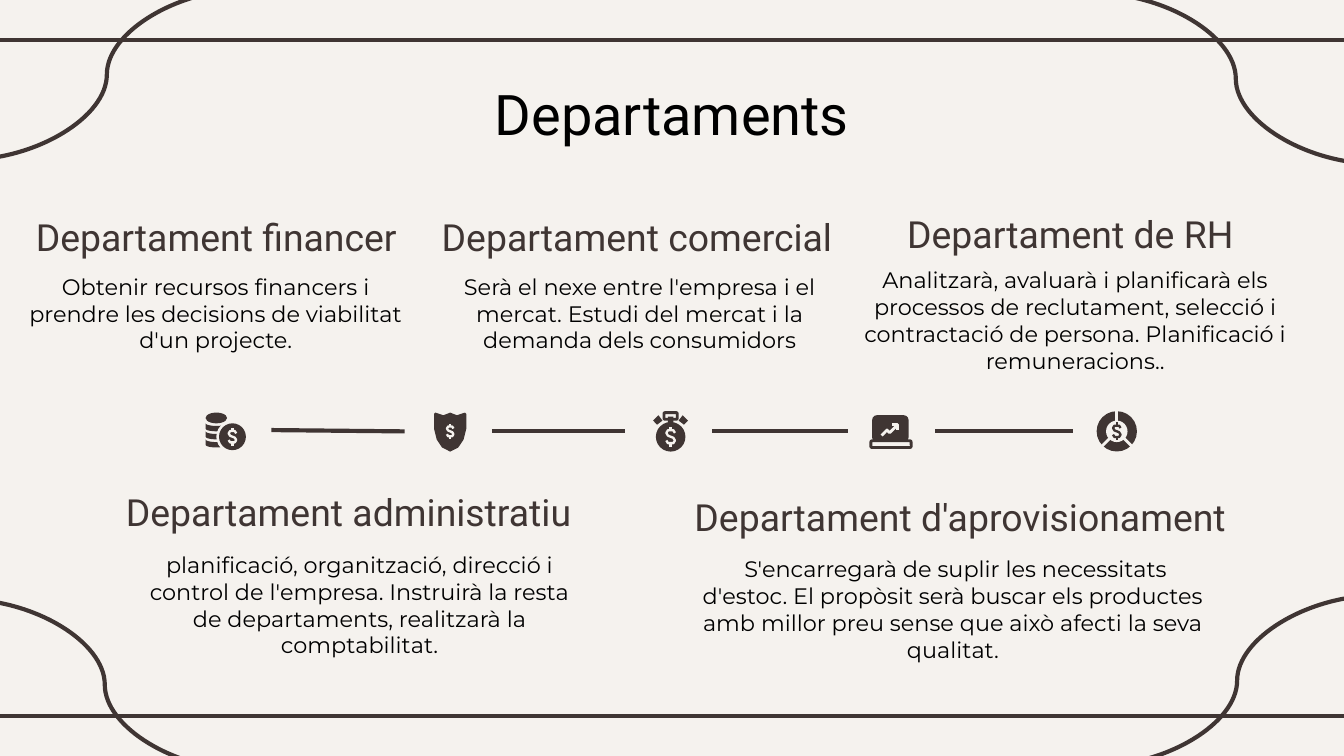
"""Build the Departaments slide: five departments around a row of linked icons."""
import dataclasses
import math
from typing import List, Sequence, Tuple

import pptx
import pptx.dml.color
import pptx.enum.shapes
import pptx.enum.text
import pptx.oxml
import pptx.util

Inches = pptx.util.Inches
Point = Tuple[float, float]
Box = Tuple[float, float, float, float]
Preset = pptx.enum.shapes.MSO_SHAPE
Connector = pptx.enum.shapes.MSO_CONNECTOR

DARK, LIGHT, BLACK = "3F3533", "F5F2EE", "000000"
EFFECTS = '<a:effectLst xmlns:a="http://schemas.openxmlformats.org/drawingml/2006/main"/>'


@dataclasses.dataclass
class Department:
    name: str
    name_box: Box
    duty: str
    duty_box: Box


@dataclasses.dataclass
class Link:
    start: Point
    end: Point
    kind: int = Connector.STRAIGHT


DEPARTMENTS = [
    Department("Departament financer", (-0.35, 1.59, 3.92, 0.35),
               "Obtenir recursos financers i prendre les decisions de viabilitat d'un projecte.",
               (0.19, 2.03, 2.93, 0.6)),
    Department("Departament comercial", (2.78, 1.59, 3.92, 0.35),
               "Serà el nexe entre l'empresa i el mercat. Estudi del mercat i la demanda "
               "dels consumidors", (3.16, 2.03, 3.3, 0.6)),
    Department("Departament administratiu", (0.48, 3.64, 4.23, 0.35),
               "planificació, organització, direcció i control de l'empresa. Instruirà la resta "
               "de departaments, realitzarà la comptabilitat.", (0.99, 4.1, 3.47, 0.6)),
    Department("Departament d'aprovisionament", (4.7, 3.68, 4.89, 0.35),
               " S'encarregarà de suplir les necessitats d'estoc. El propòsit serà buscar els "
               "productes amb millor preu sense que això afecti la seva qualitat.",
               (5.21, 4.13, 3.86, 0.6)),
    Department("Departament de RH", (5.85, 1.57, 4.23, 0.35),
               "Analitzarà, avaluarà i planificarà els processos de reclutament, selecció i "
               "contractació de persona. Planificació i remuneracions..",
               (6.31, 1.98, 3.48, 0.6)),
]

LINKS = [
    Link((-0.08, 0.3), (10.08, 0.3)),
    Link((-0.08, 5.33), (10.08, 5.33)),
    Link((-0.27, 4.46), (1.83, 5.73), Connector.CURVE),
    Link((8.14, -0.05), (10.25, 1.22), Connector.CURVE),
    Link((10.26, 4.43), (8.15, 5.7), Connector.CURVE),
    Link((1.85, -0.08), (-0.26, 1.19), Connector.CURVE),
    Link((2.02, 3.2), (3.01, 3.21)),
    Link((3.66, 3.21), (4.65, 3.21)),
    Link((5.3, 3.21), (6.31, 3.21)),
    Link((6.96, 3.21), (7.98, 3.21)),
]

DOLLAR = [
    [(0.4, -0.35), (0.25, -0.6), (-0.25, -0.6), (-0.4, -0.35), (-0.25, -0.1),
     (0.25, 0.1), (0.4, 0.35), (0.25, 0.6), (-0.25, 0.6), (-0.4, 0.35)],
    [(0, -0.6), (0, -0.95)],
    [(0, 0.6), (0, 0.95)],
]


def colour(value: str) -> pptx.dml.color.RGBColor:
    return pptx.dml.color.RGBColor.from_string(value)


def paint(shape, fill: str = "", line: str = "", width: float = 1) -> None:
    shape.shadow.inherit = False
    if fill:
        shape.fill.solid()
        shape.fill.fore_color.rgb = colour(fill)
    else:
        shape.fill.background()
    if line:
        shape.line.color.rgb = colour(line)
        shape.line.width = pptx.util.Pt(width)
    else:
        shape.line.fill.background()


def add_link(slide, link: Link) -> None:
    ends = [Inches(value) for value in link.start + link.end]
    connector = slide.shapes.add_connector(link.kind, *ends)
    connector.line.color.rgb = colour(DARK)
    connector.line.width = pptx.util.Pt(2.25)
    connector._element.spPr.append(pptx.oxml.parse_xml(EFFECTS))


def add_text(slide, box: Box, text: str, font: str, size: float, ink: str,
             insets: Box = (0, 0, 0, 0)) -> None:
    frame = slide.shapes.add_textbox(*map(Inches, box)).text_frame
    frame.word_wrap = True
    frame.vertical_anchor = pptx.enum.text.MSO_ANCHOR.TOP
    (frame.margin_left, frame.margin_top,
     frame.margin_right, frame.margin_bottom) = map(Inches, insets)
    paragraph = frame.paragraphs[0]
    paragraph.alignment = pptx.enum.text.PP_ALIGN.CENTER
    run = paragraph.add_run()
    run.text = text
    run.font.name = font
    run.font.size = pptx.util.Pt(size)
    run.font.color.rgb = colour(ink)


def add_preset(slide, kind, box: Box, fill: str = "", line: str = "", width: float = 1) -> None:
    paint(slide.shapes.add_shape(kind, *map(Inches, box)), fill, line, width)


def add_disc(slide, centre: Point, radius: float, fill: str) -> None:
    box = (centre[0] - radius, centre[1] - radius, 2 * radius, 2 * radius)
    add_preset(slide, Preset.OVAL, box, fill)


def add_outline(slide, contours: Sequence[Sequence[Point]], fill: str = "",
                line: str = "", width: float = 1) -> None:
    builder = None
    for contour in contours:
        points = [(Inches(x), Inches(y)) for x, y in contour]
        if builder is None:
            builder = slide.shapes.build_freeform(*points[0])
        else:
            builder.move_to(*points[0])
        builder.add_line_segments(points[1:], close=bool(fill))
    paint(builder.convert_to_shape(), fill, line, width)


def add_dollar(slide, centre: Point, half_height: float, ink: str) -> None:
    contours = [[(centre[0] + x * half_height, centre[1] + y * half_height) for x, y in contour]
                for contour in DOLLAR]
    add_outline(slide, contours, line=ink, width=1.25)


def mirror(points: Sequence[Point], axis: float) -> List[Point]:
    return [(2 * axis - x, y) for x, y in reversed(points)]


def add_coins(slide) -> None:
    add_preset(slide, Preset.OVAL, (1.53, 3.07, 0.16, 0.08), DARK)
    angles = [math.pi * step / 10 for step in range(11)]
    for top in (3.15, 3.21, 3.27):
        edge = [(1.61 - 0.08 * math.cos(a), top + 0.02 * math.sin(a)) for a in angles]
        lower = [(x, y + 0.04) for x, y in reversed(edge)]
        add_outline(slide, [edge + lower], DARK)
    for radius, fill in ((0.12, LIGHT), (0.1, DARK)):
        add_disc(slide, (1.73, 3.25), radius, fill)
    add_dollar(slide, (1.73, 3.25), 0.07, LIGHT)


def add_shield(slide) -> None:
    right = [(3.35, 3.07), (3.4, 3.09), (3.46, 3.07), (3.47, 3.08), (3.47, 3.19),
             (3.45, 3.27), (3.41, 3.33), (3.35, 3.36)]
    add_outline(slide, [right + mirror(right, 3.35)], DARK)
    add_dollar(slide, (3.35, 3.21), 0.06, LIGHT)


def add_stopwatch(slide) -> None:
    ear = [(5.08, 3.09), (5.12, 3.13), (5.09, 3.16), (5.05, 3.13)]
    add_outline(slide, [ear, mirror(ear, 4.99)], DARK)
    add_preset(slide, Preset.ROUNDED_RECTANGLE, (4.94, 3.07, 0.1, 0.05), line=DARK, width=1.5)
    add_preset(slide, Preset.RECTANGLE, (4.97, 3.1, 0.04, 0.05), DARK)
    add_disc(slide, (4.99, 3.25), 0.11, DARK)
    add_dollar(slide, (4.99, 3.25), 0.08, LIGHT)


def add_laptop(slide) -> None:
    add_preset(slide, Preset.ROUNDED_RECTANGLE, (6.49, 3.09, 0.27, 0.2), DARK)
    add_preset(slide, Preset.ROUNDED_RECTANGLE, (6.48, 3.28, 0.3, 0.05), LIGHT, DARK, 1.5)
    arrow = [[(6.56, 3.24), (6.6, 3.2), (6.62, 3.22), (6.68, 3.16)],
             [(6.64, 3.16), (6.68, 3.16), (6.68, 3.2)]]
    add_outline(slide, arrow, line=LIGHT, width=1.5)


def add_ring(slide) -> None:
    centre = (8.31, 3.21)
    add_disc(slide, centre, 0.15, DARK)
    add_disc(slide, centre, 0.08, LIGHT)
    spokes = [[centre, (centre[0] + x, centre[1] + y)]
              for x, y in ((0, -0.15), (-0.11, 0.11), (0.11, 0.11))]
    add_outline(slide, spokes, line=LIGHT, width=1.5)
    add_dollar(slide, centre, 0.07, DARK)


def main() -> None:
    presentation = pptx.Presentation()
    presentation.slide_width = Inches(10)
    presentation.slide_height = Inches(10 * 9 / 16)
    slide = presentation.slides.add_slide(presentation.slide_layouts[6])
    slide.background.fill.solid()
    slide.background.fill.fore_color.rgb = colour(LIGHT)
    for link in LINKS:
        add_link(slide, link)
    add_text(slide, (0.78, 0.49, 8.44, 0.63), "Departaments", "Roboto", 30, BLACK,
             (0.1, 0.1, 0.1, 0.1))
    for add_icon in (add_coins, add_shield, add_stopwatch, add_laptop, add_ring):
        add_icon(slide)
    for department in DEPARTMENTS:
        add_text(slide, department.name_box, department.name, "Roboto", 20, DARK)
        add_text(slide, department.duty_box, department.duty, "Montserrat", 12, BLACK,
                 (0, 0, 0.1, 0.1))
    presentation.save("out.pptx")


if __name__ == "__main__":
    main()
